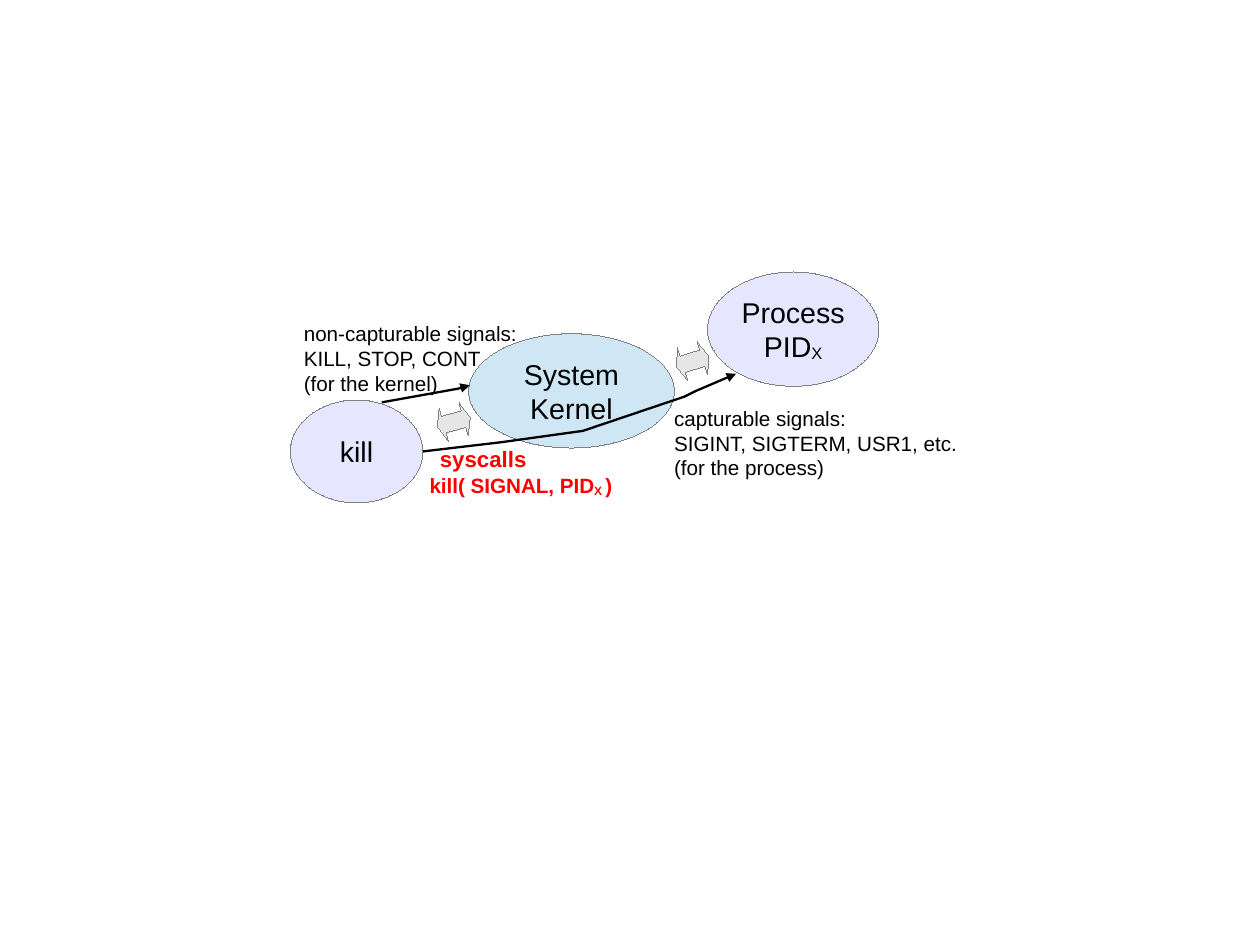
"""Build a slide showing how kill sends signals through the system kernel."""
from dataclasses import dataclass

import lxml.etree
import pptx
import pptx.dml.color
import pptx.enum.shapes
import pptx.enum.text
import pptx.oxml.ns
import pptx.util

Inches = pptx.util.Inches
Pt = pptx.util.Pt
Preset = pptx.enum.shapes.MSO_SHAPE
Align = pptx.enum.text.PP_ALIGN
Anchor = pptx.enum.text.MSO_ANCHOR
FONT = "Arial"
BLACK, RED, GRAY = "000000", "FF0000", "808080"
LAVENDER, SKY, SILVER = "E6E6FF", "CFE7F5", "E6E6E6"
SUBSCRIPT_MARK = "|"
CM_PER_INCH = 2.54


@dataclass
class Actor:
    left: float
    top: float
    width: float
    height: float
    fill: str
    lines: list[str]


@dataclass
class Exchange:
    left: float
    top: float
    rotation: float


@dataclass
class Label:
    left: float
    top: float
    width: float
    height: float
    lines: list[str]
    size: float = 13
    color: str = BLACK
    bold: bool = False


@dataclass
class SignalPath:
    points: list[tuple[float, float]]


ACTORS = [
    Actor(4.1, 2.92, 1.8, 1, SKY, ["System", "Kernel"]),
    Actor(6.19, 2.38, 1.5, 1, LAVENDER, ["Process", "PID|X"]),
    Actor(2.54, 3.5, 1.16, 0.9, LAVENDER, ["kill"]),
]
EXCHANGES = [Exchange(5.91, 3.01, 342.4), Exchange(3.82, 3.54, 344.4)]
CALLS = [
    Label(3.75, 3.85, 0.96, 0.32, ["syscalls"], 14, RED, True),
    Label(3.66, 4.09, 1.8, 0.36, ["kill( SIGNAL, PID|X |)"], 13, RED, True),
]
SIGNAL_PATHS = [
    SignalPath([(3.7, 3.95), (4.38, 3.87), (5.1, 3.77), (5.99, 3.47), (6.09, 3.42), (6.44, 3.27)]),
    SignalPath([(3.34, 3.52), (4.01, 3.4), (4.11, 3.37)]),
]
SIGNAL_LABELS = [
    Label(2.56, 2.76, 2.11, 0.7,
          ["non-capturable signals:", "KILL, STOP, CONT", "(for the kernel)"]),
    Label(5.8, 3.5, 2.67, 0.7,
          ["capturable signals:", "SIGINT, SIGTERM, USR1, etc.", "(for the process)"]),
]


def rgb(value: str) -> pptx.dml.color.RGBColor:
    return pptx.dml.color.RGBColor.from_string(value)


def write_lines(frame, lines: list[str], size: float, color: str = BLACK,
                bold: bool = False, align=Align.LEFT) -> None:
    frame.word_wrap = False
    for index, line in enumerate(lines):
        para = frame.paragraphs[0] if index == 0 else frame.add_paragraph()
        para.alignment = align
        for position, piece in enumerate(line.split(SUBSCRIPT_MARK)):
            span = para.add_run()
            span.text = piece
            span.font.name = FONT
            span.font.size = Pt(size)
            span.font.bold = bold
            span.font.color.rgb = rgb(color)
            if position % 2:
                span._r.get_or_add_rPr().set("baseline", "-8000")


def paint(shape, fill: str) -> None:
    shape.shadow.inherit = False
    shape.fill.solid()
    shape.fill.fore_color.rgb = rgb(fill)
    shape.line.color.rgb = rgb(GRAY)
    shape.line._get_or_add_ln().set("w", "0")


def draw_actor(page, actor: Actor) -> None:
    oval = page.shapes.add_shape(Preset.OVAL, Inches(actor.left), Inches(actor.top),
                                 Inches(actor.width), Inches(actor.height))
    paint(oval, actor.fill)
    oval.text_frame.vertical_anchor = Anchor.MIDDLE
    write_lines(oval.text_frame, actor.lines, 18, align=Align.CENTER)


def draw_exchange(page, exchange: Exchange) -> None:
    arrow = page.shapes.add_shape(Preset.LEFT_RIGHT_ARROW, Inches(exchange.left),
                                  Inches(exchange.top), Inches(0.3), Inches(0.3))
    arrow.adjustments[0] = 0.5
    arrow.adjustments[1] = 0.2
    arrow.rotation = exchange.rotation
    paint(arrow, SILVER)


def draw_label(page, label: Label) -> None:
    box = page.shapes.add_textbox(Inches(label.left), Inches(label.top),
                                  Inches(label.width), Inches(label.height))
    box.text_frame.auto_size = pptx.enum.text.MSO_AUTO_SIZE.SHAPE_TO_FIT_TEXT
    write_lines(box.text_frame, label.lines, label.size, label.color, label.bold)


def draw_signal_path(page, signal: SignalPath) -> None:
    start, *rest = [(Inches(x), Inches(y)) for x, y in signal.points]
    builder = page.shapes.build_freeform(*start)
    builder.add_line_segments(rest, close=False)
    curve = builder.convert_to_shape()
    curve.shadow.inherit = False
    curve.fill.background()
    curve.line.color.rgb = rgb(BLACK)
    curve.line.width = Pt(1.45)
    outline = curve.line._get_or_add_ln()
    lxml.etree.SubElement(outline, pptx.oxml.ns.qn("a:round"))
    lxml.etree.SubElement(outline, pptx.oxml.ns.qn("a:tailEnd"), type="triangle")


def main() -> None:
    deck = pptx.Presentation()
    deck.slide_width = Inches(28 / CM_PER_INCH)
    deck.slide_height = Inches(21 / CM_PER_INCH)
    page = deck.slides.add_slide(deck.slide_layouts[6])
    for actor in ACTORS:
        draw_actor(page, actor)
    for exchange in EXCHANGES:
        draw_exchange(page, exchange)
    for call in CALLS:
        draw_label(page, call)
    for signal in SIGNAL_PATHS:
        draw_signal_path(page, signal)
    for label in SIGNAL_LABELS:
        draw_label(page, label)
    deck.save("out.pptx")


if __name__ == "__main__":
    main()
